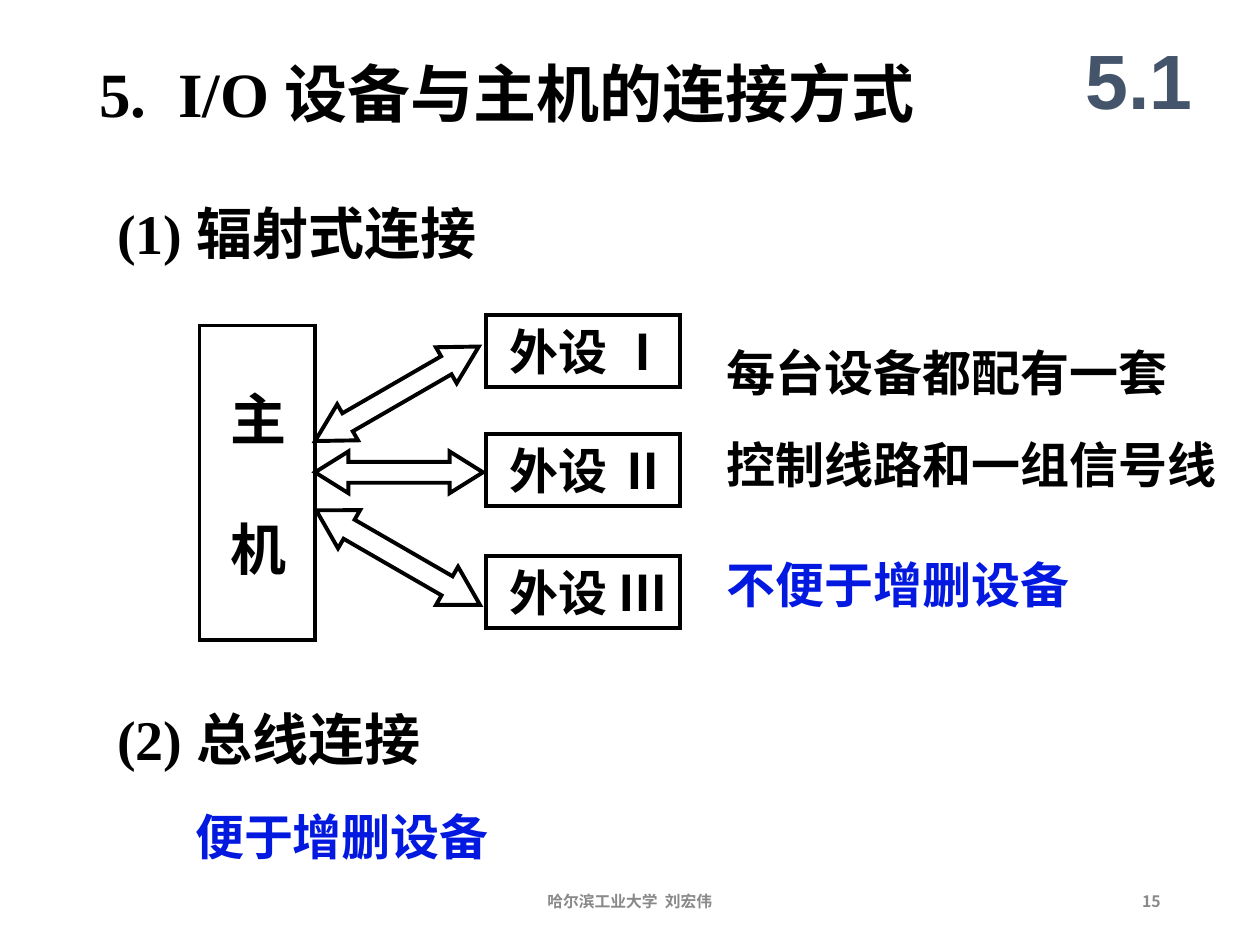
from lxml import etree
from pptx import Presentation
from pptx import util as u
from pptx.dml.color import RGBColor
from pptx.enum import shapes, text
from pptx.oxml import ns

COLORS = {"ink": "000000", "note": "0419E0", "section": "44546A", "footer": "898989"}
SERIF = "Times New Roman"
SANS = "Arial"
FOOTER_FONT = "Noto Sans CJK SC"
LEFT, CENTER, RIGHT = text.PP_ALIGN.LEFT, text.PP_ALIGN.CENTER, text.PP_ALIGN.RIGHT
LINE_WIDTH = 2.24


def points(*lengths):
    return [u.Pt(length) for length in lengths]


def color(name):
    return RGBColor.from_string(COLORS[name])


def write(box, words, size, ink="ink", font=SERIF, align=LEFT, wrap=True, fit=True,
          before=0):
    frame = box.text_frame
    frame.word_wrap = wrap
    frame.auto_size = (text.MSO_AUTO_SIZE.SHAPE_TO_FIT_TEXT if fit
                       else text.MSO_AUTO_SIZE.NONE)
    frame.vertical_anchor = text.MSO_ANCHOR.TOP if fit else text.MSO_ANCHOR.MIDDLE
    para = frame.paragraphs[0]
    para.text = words
    para.alignment = align
    para.space_before = u.Pt(before)
    para.font.name = font
    para.font.size = u.Pt(size)
    para.font.bold = True
    para.font.color.rgb = color(ink)


def add_label(page, words, place, size, **style):
    box = page.shapes.add_textbox(*points(*place))
    write(box, words, size, **style)


def add_outline(page, kind, place):
    box = page.shapes.add_shape(kind, *points(*place))
    box.shadow.inherit = False
    box.fill.background()
    box.line.color.rgb = color("ink")
    box.line.width = u.Pt(LINE_WIDTH)
    line = box._element.spPr.find(ns.qn("a:ln"))
    etree.SubElement(line, ns.qn("a:miter"), lim="800000")
    return box


def add_device(page, numeral, top):
    box = add_outline(page, shapes.MSO_SHAPE.RECTANGLE, (277.9, top, 110.9, 41))
    write(box, f" 外设 {numeral}", 28, wrap=False)


def add_double_arrow(page, place, head, rotation):
    arrow = add_outline(page, shapes.MSO_SHAPE.LEFT_RIGHT_ARROW, place)
    arrow.adjustments[0] = 0.5
    arrow.adjustments[1] = head
    arrow.rotation = rotation


def add_headings(page):
    add_label(page, "5.  I/O 设备与主机的连接方式", (49.7, 27.4, 491.8, 50.4), 36)
    add_label(page, "(1) 辐射式连接", (59.8, 109.8, 306, 46), 32)
    add_label(page, "(2) 总线连接", (59.8, 398.9, 282.2, 46), 32)
    add_label(page, "5.1", (606, 12, 90, 66), 44, ink="section", font=SANS,
              align=CENTER, fit=False)


def add_radial_diagram(page):
    add_outline(page, shapes.MSO_SHAPE.RECTANGLE, (114, 186, 66, 180))
    for word, top in (("主", 216), ("机", 290.2)):
        add_label(page, word, (124.9, top, 46, 46), 32, wrap=False)
    for numeral, top in (("Ⅰ", 180), ("Ⅱ", 248), ("Ⅲ", 318)):
        add_device(page, numeral, top)
    for place, head, rotation in (
        ((172.8, 213.1, 108, 23.8), 0.9, 150),
        ((180, 258, 96, 23.8), 0.8, 0),
        ((173.5, 306, 108, 25.2), 0.86, 30),
    ):
        add_double_arrow(page, place, head, rotation)


def add_notes(page):
    left = 408.2
    add_label(page, "每台设备都配有一套", (left, 192.2, 270, 41), 28)
    add_label(page, "控制线路和一组信号线", (left, 244.8, 298, 41), 28)
    add_label(page, "不便于增删设备", (left, 313.2, 246.2, 41), 28, ink="note")
    add_label(page, "便于增删设备", (104.4, 457.2, 473.8, 41), 28, ink="note",
              before=17.5)


def add_footer(page):
    for words, left, width, align in (
        ("哈尔滨工业大学  刘宏伟", 238.5, 242.6, CENTER),
        ("15", 508.3, 162, RIGHT),
    ):
        add_label(page, words, (left, 500.4, width, 28.8), 9, ink="footer",
                  font=FOOTER_FONT, align=align, fit=False, before=2.2)


def main():
    deck = Presentation()
    deck.slide_width, deck.slide_height = points(720, 540)
    page = deck.slides.add_slide(deck.slide_layouts[6])
    add_headings(page)
    add_radial_diagram(page)
    add_notes(page)
    add_footer(page)
    deck.save("out.pptx")


main()
